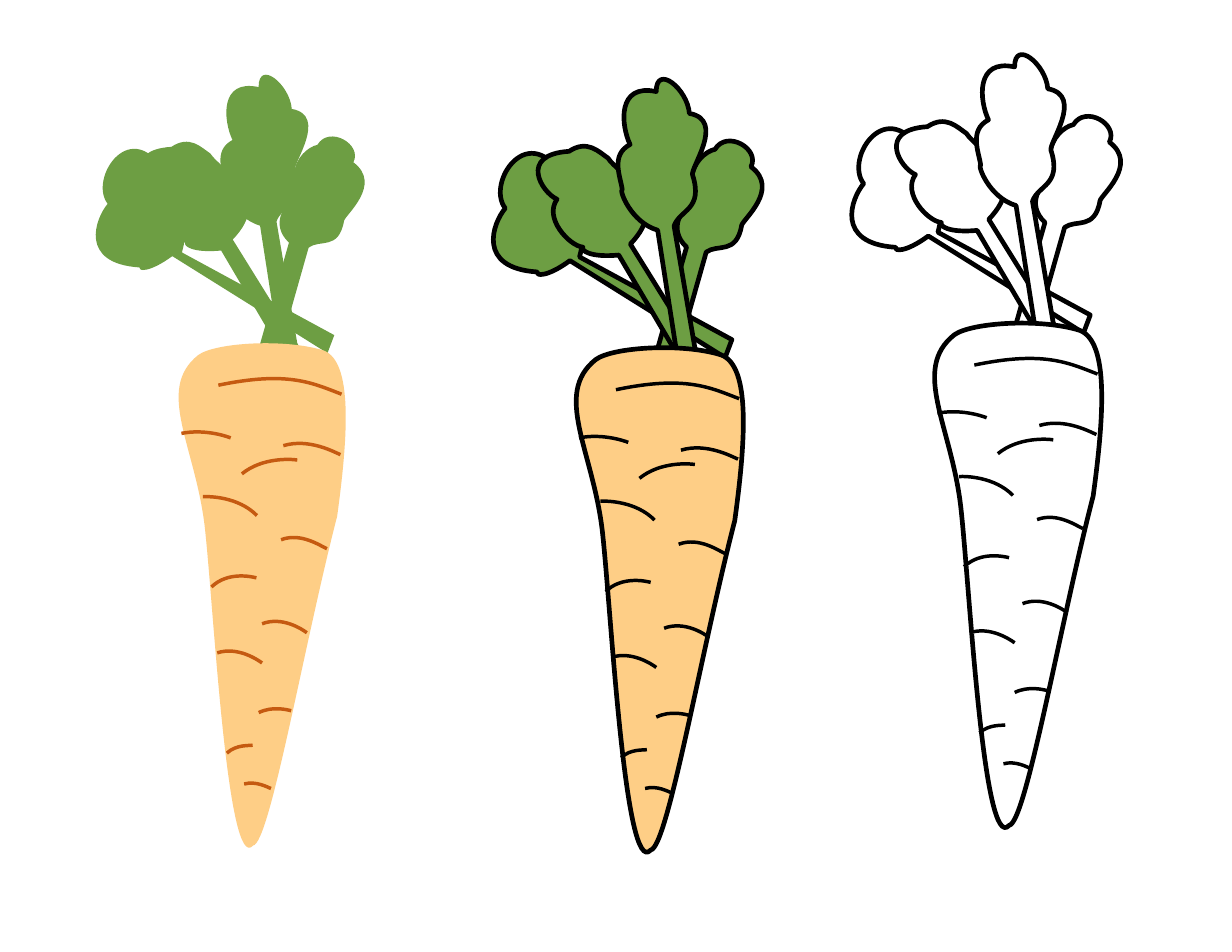
from lxml import etree
from pptx import Presentation
from pptx.dml.color import RGBColor
from pptx.oxml.ns import qn
from pptx.util import Inches, Pt

THEME = {
    "leaf": "6D9E43", "root": "FECE86", "rust": "C55A11",
    "ink": "000000", "blank": "FFFFFF", "edge": 3, "mark": 2.25,
}
UNIT = Inches(0.01)

# Every part: box (left, top, width, height), turn, then its outline in inches.
# An outline starts at a point; two numbers add a line, six add a curve.
LEAVES = [
    ((5.97, 1.23, 0.65, 2.12), 8, [
        (6.12, 2.23), (5.92, 2.09, 6.05, 1.88, 6.08, 1.88),
        (6.1, 1.8, 6, 1.7, 6.08, 1.62), (6.07, 1.47, 6.17, 1.36, 6.25, 1.33),
        (6.33, 1.14, 6.65, 1.27, 6.59, 1.44), (6.88, 1.6, 6.58, 1.92, 6.58, 1.97),
        (6.57, 2.24, 6.39, 2.16, 6.3, 2.25), (6.15, 3.34), (5.97, 3.31)]),
    ((5.02, 1.02, 1.05, 2.45), 326.2, [
        (5.12, 2.06), (4.86, 2.07, 4.79, 2, 4.82, 1.98),
        (4.39, 1.65, 4.73, 1.4, 4.9, 1.35), (4.88, 1.06, 5.54, 0.79, 5.48, 1.44),
        (5.56, 1.58, 5.62, 1.71, 5.21, 2.08), (5.93, 3.45), (5.79, 3.55)]),
    ((5.36, 1.07, 0.78, 2.62), 341.1, [
        (5.57, 2.21), (5.32, 2.15, 5.26, 2.06, 5.29, 2.04),
        (5.18, 1.99, 5.04, 1.68, 5.21, 1.56), (5.1, 1.46, 5.01, 1.07, 5.45, 1.19),
        (5.64, 1.14, 5.7, 1.28, 5.76, 1.36), (5.8, 1.53, 6.19, 1.9, 5.7, 2.15),
        (6.05, 3.67), (5.88, 3.72)]),
    ((5.65, 0.71, 0.86, 2.62), 352.9, [
        (5.87, 2.03), (5.64, 1.93, 5.57, 1.63, 5.6, 1.63),
        (5.6, 1.52, 5.53, 1.31, 5.72, 1.24), (5.66, 1.06, 5.67, 0.68, 6.01, 0.8),
        (6.04, 0.55, 6.29, 0.81, 6.28, 1.03), (6.6, 1.13, 6.22, 1.52, 6.24, 1.58),
        (6.3, 1.9, 6.09, 1.87, 6.02, 2.01), (6.08, 3.34), (5.91, 3.36)]),
]
ROOT = ((5.14, 3.11, 1.49, 4.5), 0, [
    (5.32, 3.21), (5.47, 3.1, 6.09, 3.06, 6.44, 3.17),
    (6.7, 3.27, 6.66, 3.92, 6.56, 4.65), (6.26, 5.81, 5.96, 7.57, 5.81, 7.59),
    (5.58, 7.85, 5.46, 5.49, 5.38, 4.76), (5.3, 4.03, 4.93, 3.52, 5.32, 3.21)])
MARKS = [
    ((5.5, 3.42, 1.1, 0.14), 0, [(6.6, 3.56), (6.34, 3.46, 6.12, 3.35, 5.5, 3.48)]),
    ((6.08, 4, 0.51, 0.1), 0, [(6.59, 4.1), (6.54, 4.08, 6.31, 3.95, 6.08, 4.02)]),
    ((5.7, 4.15, 0.51, 0.1), 348.2, [(6.21, 4.2), (6.16, 4.18, 5.91, 4.11, 5.7, 4.22)]),
    ((5.17, 3.9, 0.43, 0.05), 0, [(5.61, 3.95), (5.56, 3.93, 5.37, 3.87, 5.17, 3.91)]),
    ((5.35, 4.5, 0.51, 0.1), 14.7, [(5.35, 4.54), (5.41, 4.52, 5.66, 4.46, 5.86, 4.58)]),
    ((6.06, 4.84, 0.4, 0.1), 0, [(6.47, 4.94), (6.42, 4.92, 6.24, 4.79, 6.06, 4.86)]),
    ((5.41, 5.17, 0.4, 0.1), 348.5, [(5.81, 5.24), (5.77, 5.22, 5.57, 5.13, 5.4, 5.24)]),
    ((5.93, 5.59, 0.4, 0.1), 0, [(6.33, 5.69), (6.29, 5.66, 6.11, 5.54, 5.93, 5.61)]),
    ((5.46, 5.85, 0.4, 0.1), 0, [(5.86, 5.96), (5.82, 5.93, 5.64, 5.81, 5.46, 5.87)]),
    ((5.86, 6.37, 0.28, 0.05), 354.6, [(6.15, 6.4), (6.12, 6.39, 5.99, 6.34, 5.86, 6.39)]),
    ((5.54, 6.7, 0.23, 0.05), 347.6, [(5.78, 6.72), (5.75, 6.72, 5.64, 6.68, 5.54, 6.74)]),
    ((5.76, 7.03, 0.23, 0.05), 0, [(6, 7.08), (5.97, 7.07, 5.87, 7.01, 5.76, 7.04)]),
]

# Each carrot: shift from the middle one, colours, and sideways nudges of marks
CARROTS = [
    {"shift": (0, 0), "leaf": "leaf", "root": "root", "edge": "ink",
     "fill": None, "mark": "ink", "nudge": {}},
    {"shift": (3.2, -0.22), "leaf": "blank", "root": "blank", "edge": "ink",
     "fill": "blank", "mark": "ink", "nudge": {}},
    {"shift": (-3.55, -0.04), "leaf": "leaf", "root": "root", "edge": None,
     "fill": None, "mark": "rust",
     "nudge": {6: 0.03, 7: -0.04, 8: 0.03, 10: 0.03, 11: -0.03}},
]


def draw(group, part, shift, fill, line, width, closed):
    """Draw one curved part, shifted into place."""
    (left, top, wide, high), turn, steps = part
    x, y = round((left + shift[0]) * 100), round((top + shift[1]) * 100)
    w, h = round(wide * 100), round(high * 100)
    pen = group.shapes.build_freeform(x, y, scale=UNIT)
    pen.add_line_segments([(x + w, y), (x + w, y + h), (x, y + h)], close=True)
    shape = pen.convert_to_shape()

    # Swap the straight frame for the curved outline
    trace = shape.element.find(".//" + qn("a:path"))
    for old in list(trace):
        trace.remove(old)
    for i, nums in enumerate(steps):
        tag = "a:moveTo" if i == 0 else "a:lnTo" if len(nums) == 2 else "a:cubicBezTo"
        step = etree.SubElement(trace, qn(tag))
        for px, py in zip(nums[::2], nums[1::2]):
            etree.SubElement(step, qn("a:pt"), x=str(round((px - left) * 100)),
                             y=str(round((py - top) * 100)))
    if closed:
        etree.SubElement(trace, qn("a:close"))

    shape.rotation = turn
    shape.shadow.inherit = False
    for paint, name in ((shape.fill, fill), (shape.line.fill, line)):
        if name:
            paint.solid()
            paint.fore_color.rgb = RGBColor.from_string(THEME[name])
        else:
            paint.background()
    if line:
        shape.line.width = Pt(THEME[width])


deck = Presentation()
deck.slide_width, deck.slide_height = Inches(11), Inches(8.5)
slide = deck.slides.add_slide(deck.slide_layouts[6])

for look in CARROTS:
    group = slide.shapes.add_group_shape()
    dx, dy = look["shift"]

    # Leaves behind, root in front
    for leaf in LEAVES:
        draw(group, leaf, (dx, dy), look["leaf"], look["edge"], "edge", True)
    draw(group, ROOT, (dx, dy), look["root"], look["edge"], "edge", True)

    # Marks across the root
    for i, mark in enumerate(MARKS):
        spot = (dx + look["nudge"].get(i, 0), dy)
        draw(group, mark, spot, look["fill"], look["mark"], "mark", False)

deck.save("out.pptx")
